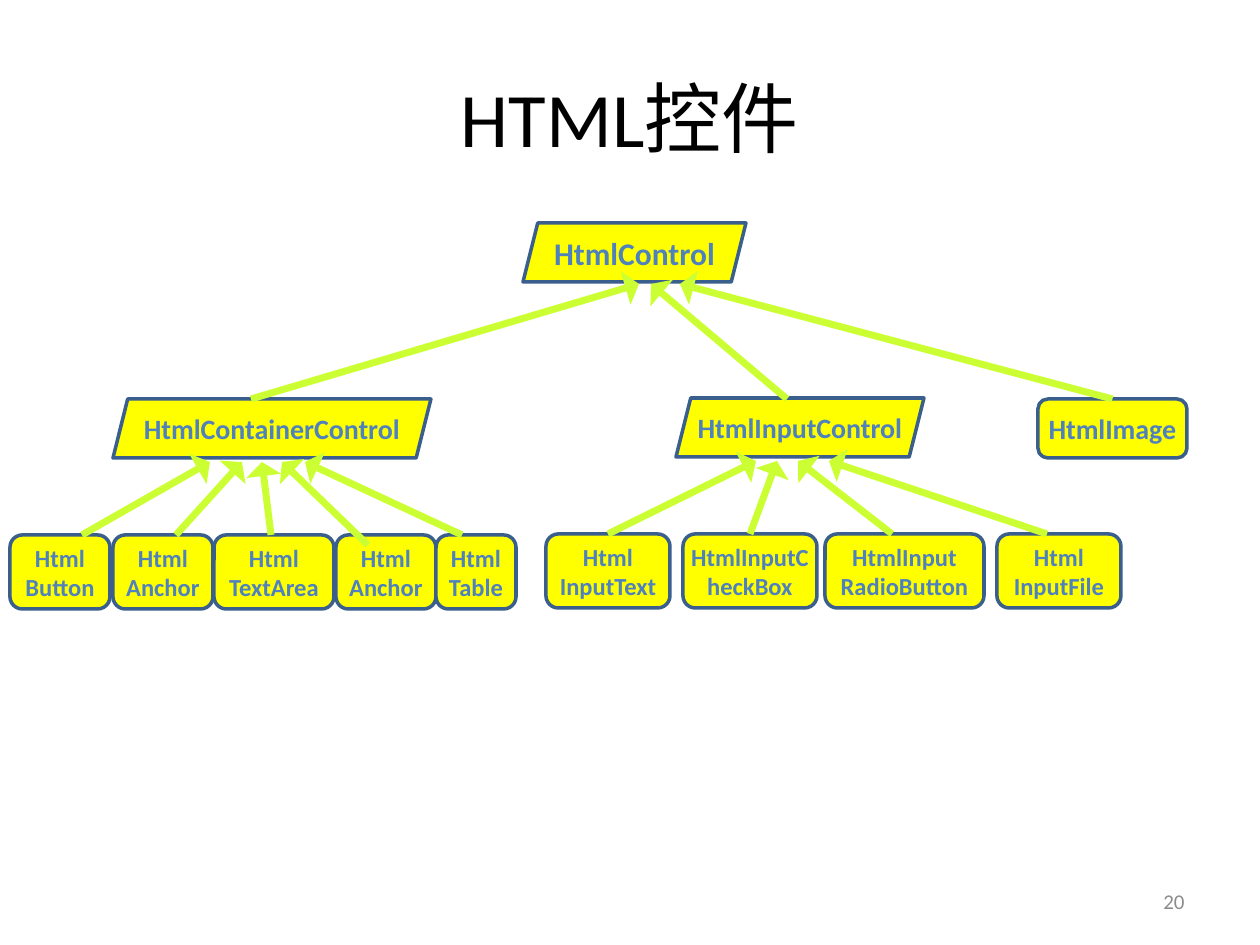
from dataclasses import dataclass

from lxml import etree
from pptx import Presentation
from pptx import util as u
from pptx.dml.color import RGBColor
from pptx.enum import shapes, text
from pptx.oxml import ns

PX = u.Inches(1) / 126
PARALLELOGRAM = shapes.MSO_SHAPE.PARALLELOGRAM
ROUNDED = shapes.MSO_SHAPE.ROUNDED_RECTANGLE
CLASS_H, LEAF_H, LEAF_DROP, TIP_GAP = 59, 74, 136, 4


@dataclass(frozen=True)
class Theme:
    font: str = "Calibri"
    title: str = "000000"
    number: str = "8C8C8C"
    node: str = "FFFF00"
    outline: str = "3A5F8C"
    label: str = "4F81BD"
    arrow: str = "CCFF33"
    title_pt: int = 44
    root_pt: int = 18
    class_pt: int = 16
    leaf_pt: int = 14
    number_pt: int = 12
    outline_pt: int = 2
    arrow_pt: int = 4


THEME = Theme()


def px(*lengths):
    return [u.Emu(round(n * PX)) for n in lengths]


def rgb(value):
    return RGBColor.from_string(value)


def add_run(p, words, size, color, bold=False):
    r = p.add_run()
    r.text = words
    r.font.name = THEME.font
    r.font.size = u.Pt(size)
    r.font.bold = bold
    r.font.color.rgb = rgb(color)


def add_node(s, kind, box, lines, size, wrap=False):
    sp = s.shapes.add_shape(kind, *px(*box))
    sp.shadow.inherit = False
    sp.fill.solid()
    sp.fill.fore_color.rgb = rgb(THEME.node)
    sp.line.color.rgb = rgb(THEME.outline)
    sp.line.width = u.Pt(THEME.outline_pt)
    tf = sp.text_frame
    tf.word_wrap = wrap
    tf.vertical_anchor = text.MSO_ANCHOR.MIDDLE
    tf.margin_left = tf.margin_right = u.Inches(0.02)
    tf.margin_top = tf.margin_bottom = u.Inches(0.01)
    for i, words in enumerate(lines):
        p = tf.add_paragraph() if i else tf.paragraphs[0]
        p.alignment = text.PP_ALIGN.CENTER
        add_run(p, words, size, THEME.label, bold=True)
    return sp


def add_arrow(s, start, tip, child=None):
    """Draw an inheritance arrow, joined to the top of child if one is given."""
    line = s.shapes.add_connector(shapes.MSO_CONNECTOR.STRAIGHT, *px(*start, *tip))
    if child is not None:
        line.begin_connect(child, 0)
    line.line.color.rgb = rgb(THEME.arrow)
    line.line.width = u.Pt(THEME.arrow_pt)
    ln = line.line._get_or_add_ln()
    etree.SubElement(ln, ns.qn("a:tailEnd"), type="triangle", w="lg", len="sm")
    etree.SubElement(line._element.spPr, ns.qn("a:effectLst"))


def add_title(s, box, words):
    title = s.shapes.title
    title.left, title.top, title.width, title.height = px(*box)
    tf = title.text_frame
    tf.vertical_anchor = text.MSO_ANCHOR.MIDDLE
    p = tf.paragraphs[0]
    p.alignment = text.PP_ALIGN.CENTER
    add_run(p, words, THEME.title_pt, THEME.title)


def add_page_number(s, box, words):
    tf = s.shapes.add_textbox(*px(*box)).text_frame
    tf.word_wrap = True
    tf.vertical_anchor = text.MSO_ANCHOR.MIDDLE
    p = tf.paragraphs[0]
    p.alignment = text.PP_ALIGN.RIGHT
    add_run(p, words, THEME.number_pt, THEME.number)


def add_root(s, left, top):
    """Draw the base class, its one direct control and the arrows between levels."""
    add_node(s, PARALLELOGRAM, (left, top, 223, CLASS_H), ["HtmlControl"], THEME.root_pt)
    image = add_node(s, ROUNDED, (left + 515, top + 176, 149, CLASS_H),
                     ["HtmlImage"], THEME.class_pt)
    for start, tip, child in ((-272, 116, None), (264, 128, None), (588, 157, image)):
        add_arrow(s, (left + start, top + 176), (left + tip, top + CLASS_H + 2), child)


def add_branch(s, left, top, parent, leaves):
    """Draw a parent class over its row of leaves.

    Each leaf is (lines, x, width, arrow start or None for its middle, drop of
    the start below the leaf top, arrow tip, wrap), with x values from left.
    """
    name, x, width = parent
    add_node(s, PARALLELOGRAM, (left + x, top, width, CLASS_H), [name], THEME.class_pt)
    row = top + LEAF_DROP
    tip_y = top + CLASS_H + TIP_GAP
    for lines, x, width, start, drop, tip, wrap in leaves:
        leaf = add_node(s, ROUNDED, (left + x, row, width, LEAF_H),
                        lines, THEME.leaf_pt, wrap)
        middle = start is None
        start_x = x + width / 2 if middle else start
        add_arrow(s, (left + start_x, row + drop), (left + tip, tip_y),
                  leaf if middle else None)


CONTAINERS = [
    (("Html", "Button"), 0, 100, 72, 0, 200, True),
    (("Html", "Anchor"), 103, 100, 166, 0, 232, True),
    (("Html", "TextArea"), 204, 120, 261, 0, 252, True),
    (("Html", "Anchor"), 326, 100, 358, 10, 272, True),
    (("Html", "Table"), 426, 80, 452, 0, 295, True),
]
INPUTS = [
    (("Html", "InputText"), 0, 124, None, 0, 210, True),
    (("HtmlInputCheckBox",), 137, 134, None, 0, 231, True),
    (("HtmlInput", "RadioButton"), 279, 159, 346, 0, 252, False),
    (("Html", "InputFile"), 451, 124, 501, 0, 283, False),
]


def main():
    prs = Presentation()
    prs.slide_width, prs.slide_height = px(1260, 945)
    s = prs.slides.add_slide(prs.slide_layouts[5])
    add_title(s, (63, 38, 1134, 158), "HTML控件")
    add_branch(s, 10, 399, ("HtmlContainerControl", 103, 318), CONTAINERS)
    add_branch(s, 546, 398, ("HtmlInputControl", 130, 248), INPUTS)
    add_root(s, 523, 223)
    add_page_number(s, (903, 876, 294, 50), "20")
    prs.save("out.pptx")


if __name__ == "__main__":
    main()
